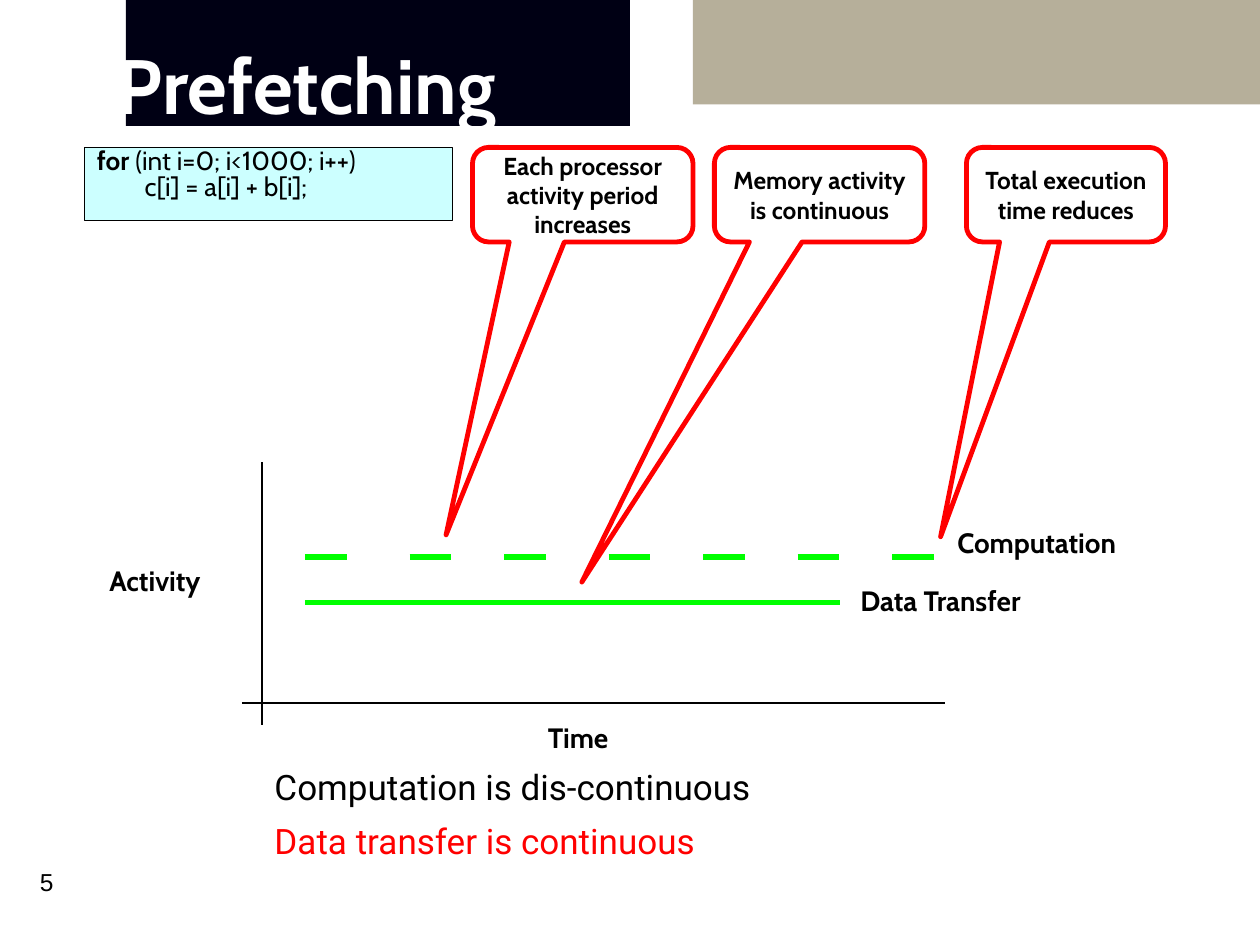
from dataclasses import dataclass
from typing import Optional

from lxml import etree
from pptx import Presentation
from pptx.dml.color import RGBColor
from pptx.enum.shapes import MSO_CONNECTOR, MSO_SHAPE
from pptx.enum.text import MSO_ANCHOR, MSO_AUTO_SIZE, PP_ALIGN
from pptx.oxml.ns import qn
from pptx.util import Inches, Pt

RECTANGLE = MSO_SHAPE.RECTANGLE
CALLOUT = MSO_SHAPE.ROUNDED_RECTANGULAR_CALLOUT
STRAIGHT = MSO_CONNECTOR.STRAIGHT
TOP, MIDDLE = MSO_ANCHOR.TOP, MSO_ANCHOR.MIDDLE
LEFT, CENTER, JUSTIFY = PP_ALIGN.LEFT, PP_ALIGN.CENTER, PP_ALIGN.JUSTIFY
GROW = MSO_AUTO_SIZE.SHAPE_TO_FIT_TEXT

BLACK = RGBColor(0x00, 0x00, 0x00)
WHITE = RGBColor(0xFF, 0xFF, 0xFF)
RED = RGBColor(0xFF, 0x00, 0x00)
GREEN = RGBColor(0x00, 0xFF, 0x00)
NAVY = RGBColor(0x00, 0x00, 0x14)
SAND = RGBColor(0xB6, 0xAF, 0x9A)
PALE_CYAN = RGBColor(0xCC, 0xFF, 0xFF)

HANGING = 0.38


@dataclass
class Box:
    left: float
    top: float
    width: float
    height: float

    def lengths(self) -> list:
        return [Inches(v) for v in (self.left, self.top, self.width, self.height)]


@dataclass
class Run:
    text: str
    size: float
    font: str = "Cabin"
    bold: bool = True
    color: RGBColor = BLACK


@dataclass
class Callout:
    text: str
    box: Box
    tip_x: float
    tip_y: float


@dataclass
class Label:
    text: str
    box: Box
    wrap: bool = False


CALLOUTS = [
    Callout("Each processor activity period increases", Box(3.75, 1.17, 1.75, 0.75), -0.62, 3.6),
    Callout("Memory activity is continuous", Box(5.67, 1.17, 1.67, 0.75), -1.13, 4.1),
    Callout("Total execution time reduces", Box(7.67, 1.17, 1.58, 0.75), -0.63, 3.62),
]
LABELS = [
    Label("Time", Box(4.25, 5.67, 0.83, 0.37), True),
    Label("Activity", Box(0.77, 4.42, 1.04, 0.37)),
    Label("Computation", Box(7.5, 4.12, 1.66, 0.37)),
    Label("Data Transfer", Box(6.73, 4.58, 1.72, 0.37)),
]
COMPUTATION_STARTS = [2.42, 3.25, 4, 4.83, 5.58, 6.33, 7.08]
COMPUTATION_Y, COMPUTATION_LENGTH = 4.42, 0.33


def write(shape, paragraphs: list[list[Run]], align=LEFT, anchor=TOP, wrap: bool = True,
          spacing: Optional[float] = None, before: float = 0, hanging: float = 0) -> None:
    frame = shape.text_frame
    frame.word_wrap = wrap
    frame.vertical_anchor = anchor
    for index, runs in enumerate(paragraphs):
        paragraph = frame.paragraphs[0] if index == 0 else frame.add_paragraph()
        layout = {"alignment": align, "line_spacing": spacing,
                  "space_before": Pt(before if index else 0)}
        for name, value in layout.items():
            setattr(paragraph, name, value)
        if hanging:
            properties = paragraph._p.get_or_add_pPr()
            properties.set("marL", str(Inches(hanging)))
            properties.set("indent", str(-Inches(hanging)))
        for item in runs:
            run = paragraph.add_run()
            run.text = item.text
            style = {"name": item.font, "size": Pt(item.size), "bold": item.bold}
            for name, value in style.items():
                setattr(run.font, name, value)
            run.font.color.rgb = item.color


def add_text(slide, box: Box, paragraphs: list[list[Run]], **layout):
    text = slide.shapes.add_textbox(*box.lengths())
    write(text, paragraphs, **layout)
    return text


def add_panel(slide, kind, box: Box, fill: Optional[RGBColor] = None,
              outline: Optional[RGBColor] = None, weight: float = 0.75):
    panel = slide.shapes.add_shape(kind, *box.lengths())
    panel.shadow.inherit = False
    if fill is None:
        panel.fill.background()
    else:
        panel.fill.solid()
        panel.fill.fore_color.rgb = fill
    if outline is None:
        panel.line.fill.background()
    else:
        panel.line.color.rgb = outline
        panel.line.width = Pt(weight)
    return panel


def add_line(slide, x1: float, y1: float, x2: float, y2: float,
             color: RGBColor = BLACK, weight: float = 0.75) -> None:
    ends = [Inches(v) for v in (x1, y1, x2, y2)]
    line = slide.shapes.add_connector(STRAIGHT, *ends)
    line.line.color.rgb = color
    line.line.width = Pt(weight)
    etree.SubElement(line._element.spPr, qn("a:effectLst"))


def add_callout(slide, callout: Callout) -> None:
    balloon = add_panel(slide, CALLOUT, callout.box, outline=RED, weight=2.75)
    for index, value in enumerate((callout.tip_x, callout.tip_y, 0.17)):
        balloon.adjustments[index] = value
    write(balloon, [[Run(callout.text, 14)]], align=CENTER, anchor=MIDDLE)


def main() -> None:
    deck = Presentation()
    deck.slide_width, deck.slide_height = Inches(10), Inches(7.5)
    slide = deck.slides.add_slide(deck.slide_layouts[6])

    # Header bands, slide number and title
    add_panel(slide, RECTANGLE, Box(5.5, 0, 4.5, 0.83), SAND)
    add_panel(slide, RECTANGLE, Box(1, 0, 4, 1), NAVY)
    add_text(slide, Box(0.08, 6.83, 0.58, 0.5), [[Run("5", 14, "Arial", False)]], align=CENTER)
    add_text(slide, Box(0.83, 0.25, 8.5, 0.83), [[Run("Prefetching", 44, color=WHITE)]],
             anchor=MIDDLE)

    # Axes and their labels
    add_line(slide, 2.08, 3.67, 2.08, 5.75)
    add_line(slide, 1.92, 5.58, 7.5, 5.58)
    for label in LABELS:
        text = add_text(slide, label.box, [[Run(label.text, 16)]], wrap=label.wrap)
        text.text_frame.auto_size = GROW

    # Continuous data transfer
    add_line(slide, 2.42, 4.78, 6.67, 4.78, GREEN, 2.75)

    # Code
    code = add_panel(slide, RECTANGLE, Box(0.67, 1.17, 2.92, 0.58), PALE_CYAN, BLACK)
    write(code, [[Run("for ", 15), Run("(int i=0; i<1000; i++)", 15, bold=False)],
                 [Run("\tc[i] = a[i] + b[i];", 15, bold=False)]],
          align=JUSTIFY, spacing=0.65, before=3.7, hanging=HANGING)

    # Callouts
    for callout in CALLOUTS:
        add_callout(slide, callout)

    # Conclusions
    add_text(slide, Box(2.08, 6.08, 4.92, 0.75),
             [[Run("Computation is dis-continuous", 20, "Roboto", False)],
              [Run("Data transfer is continuous", 20, "Roboto", False, RED)]],
             spacing=0.85, before=10, hanging=HANGING)

    # Interrupted computation
    for start in COMPUTATION_STARTS:
        add_line(slide, start, COMPUTATION_Y, start + COMPUTATION_LENGTH, COMPUTATION_Y, GREEN, 3)

    deck.save("out.pptx")


if __name__ == "__main__":
    main()
